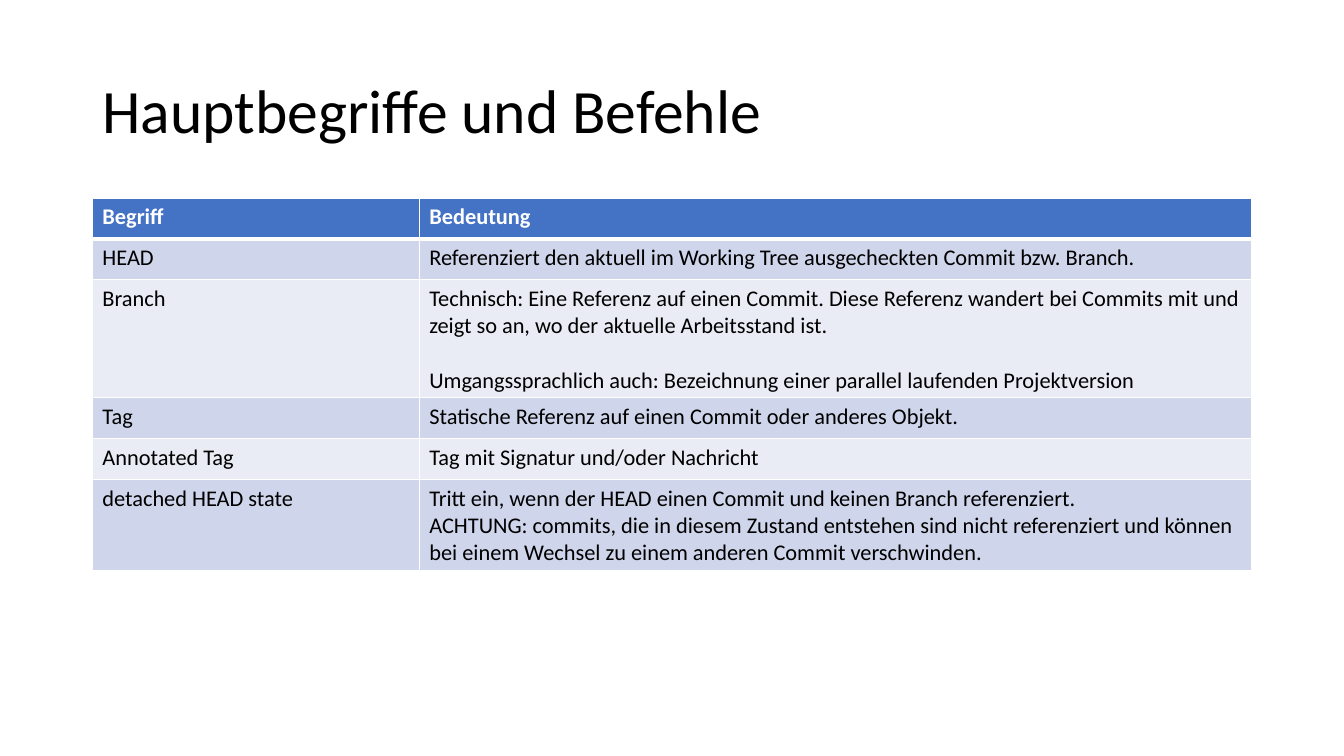
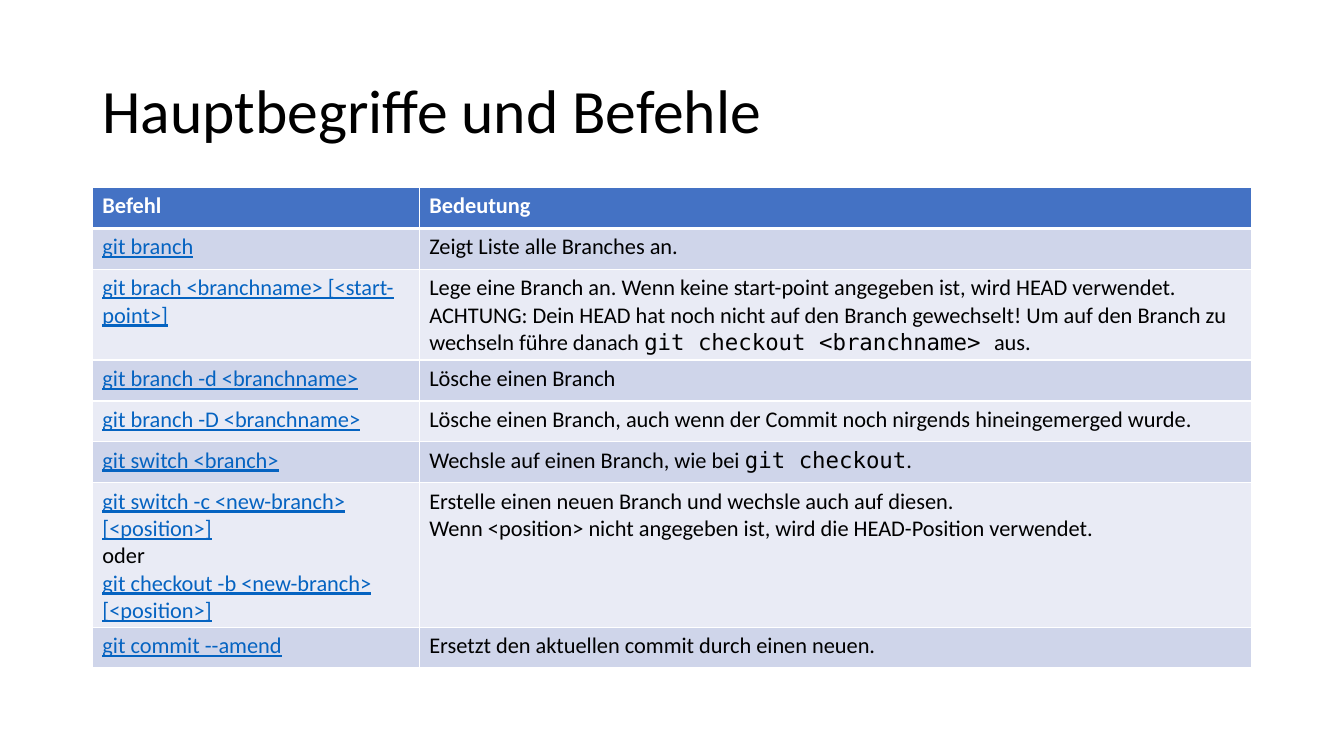
"""Build two slides that list the main Git terms and commands in tables."""
from dataclasses import dataclass

from lxml.etree import SubElement as Sub
from pptx import Presentation
from pptx.dml.color import RGBColor as RGB
from pptx.enum.text import MSO_ANCHOR as Anchor
from pptx.oxml.ns import qn
from pptx.util import Pt

TITLE = "Hauptbegriffe und Befehle"


def link(text):
    return [(text, "link")]


SLIDES = [
    {"top": 141.5, "head": ("Begriff", "Bedeutung"), "rows": [
        (["HEAD"],
         ["Referenziert den aktuell im Working Tree ausgecheckten Commit bzw. Branch."]),
        (["Branch"],
         ["Technisch: Eine Referenz auf einen Commit. Diese Referenz wandert bei Commits "
          "mit und zeigt so an, wo der aktuelle Arbeitsstand ist.",
          [("Umgangssprachlich auch: Bezeichnung einer parallel laufenden Projektversion",
            "apart")]]),
        (["Tag"], ["Statische Referenz auf einen Commit oder anderes Objekt."]),
        (["Annotated Tag"], ["Tag mit Signatur und/oder Nachricht"]),
        (["detached HEAD state"],
         ["Tritt ein, wenn der HEAD einen Commit und keinen Branch referenziert.",
          "ACHTUNG: commits, die in diesem Zustand entstehen sind nicht referenziert und "
          "können bei einem Wechsel zu einem anderen Commit verschwinden."]),
    ]},
    {"top": 134, "head": ("Befehl", "Bedeutung"), "rows": [
        ([link("git branch")], ["Zeigt Liste alle Branches an."]),
        ([link("git brach <branchname> [<start-point>]")],
         ["Lege eine Branch an. Wenn keine start-point angegeben ist, wird HEAD verwendet.",
          [("ACHTUNG: Dein HEAD hat noch nicht auf den Branch gewechselt! Um auf den "
            "Branch zu wechseln führe danach ", "body"),
           ("git checkout <branchname> ", "code"), ("aus.", "body")]]),
        ([link("git branch -d <branchname>")], ["Lösche einen Branch"]),
        ([link("git branch -D <branchname>")],
         ["Lösche einen Branch, auch wenn der Commit noch nirgends hineingemerged wurde."]),
        ([link("git switch <branch>")],
         [[("Wechsle auf einen Branch, wie bei ", "body"),
           ("git checkout", "code"), (".", "body")]]),
        ([link("git switch -c <new-branch> [<position>]"), "oder",
          link("git checkout -b <new-branch> [<position>]")],
         ["Erstelle einen neuen Branch und wechsle auch auf diesen.",
          "Wenn <position> nicht angegeben ist, wird die HEAD-Position verwendet."]),
        ([link("git commit --amend")], ["Ersetzt den aktuellen commit durch einen neuen."]),
    ]},
]


@dataclass(frozen=True)
class Style:
    size: float = 16
    font: str = "Calibri"
    color: str = "000000"
    bold: bool = False
    line: bool = False
    before: float = 0


class Theme:
    head = "4472C4"
    bands = ("CFD5EA", "E9EBF5")
    rule = "FFFFFF"
    thin, thick = 1, 3
    left, width = 66, 828
    cols = (233.5, 594.5)
    row = 29.2
    styles = {
        "title": Style(size=44),
        "head": Style(color="FFFFFF", bold=True),
        "body": Style(),
        "apart": Style(before=19.5),
        "link": Style(color="0563C1", line=True),
        "code": Style(font="DejaVu Sans Mono"),
    }


def write(frame, paras, base="body"):
    for i, runs in enumerate(paras):
        para = frame.paragraphs[0] if i == 0 else frame.add_paragraph()
        for text, kind in [(runs, base)] if isinstance(runs, str) else runs:
            style = Theme.styles[kind]
            if style.before:
                para.space_before = Pt(style.before)
            run = para.add_run()
            run.text = text
            font = run.font
            font.name, font.size = style.font, Pt(style.size)
            font.bold, font.underline = style.bold, style.line
            font.color.rgb = RGB.from_string(style.color)


def edge(cell, row):
    props = cell._tc.get_or_add_tcPr()
    widths = {"L": Theme.thin, "R": Theme.thin,
              "T": Theme.thick if row == 1 else Theme.thin,
              "B": Theme.thick if row == 0 else Theme.thin}
    for side, width in widths.items():
        line = Sub(props, qn(f"a:ln{side}"), w=str(Pt(width)))
        Sub(Sub(line, qn("a:solidFill")), qn("a:srgbClr"), val=Theme.rule)


def add_title(slide):
    box = slide.shapes.add_textbox(Pt(Theme.left), Pt(28.75), Pt(Theme.width), Pt(104.4))
    frame = box.text_frame
    frame.word_wrap = True
    frame.vertical_anchor = Anchor.MIDDLE
    write(frame, [TITLE], "title")
    frame.paragraphs[0].line_spacing = 0.9


def add_grid(slide, top, head, rows):
    lines = [tuple([name] for name in head), *rows]
    table = slide.shapes.add_table(
        len(lines), len(head), Pt(Theme.left), Pt(top),
        Pt(Theme.width), Pt(Theme.row * len(lines))).table
    for col, width in zip(table.columns, Theme.cols):
        col.width = Pt(width)
    for r, line in enumerate(lines):
        table.rows[r].height = Pt(Theme.row)
        for c, paras in enumerate(line):
            cell = table.cell(r, c)
            write(cell.text_frame, paras, "body" if r else "head")
            edge(cell, r)
            cell.fill.solid()
            tint = Theme.bands[(r - 1) % 2] if r else Theme.head
            cell.fill.fore_color.rgb = RGB.from_string(tint)


def main():
    deck = Presentation()
    deck.slide_width, deck.slide_height = Pt(960), Pt(540)
    for data in SLIDES:
        slide = deck.slides.add_slide(deck.slide_layouts[6])
        add_title(slide)
        add_grid(slide, **data)
    deck.save("out.pptx")


if __name__ == "__main__":
    main()
